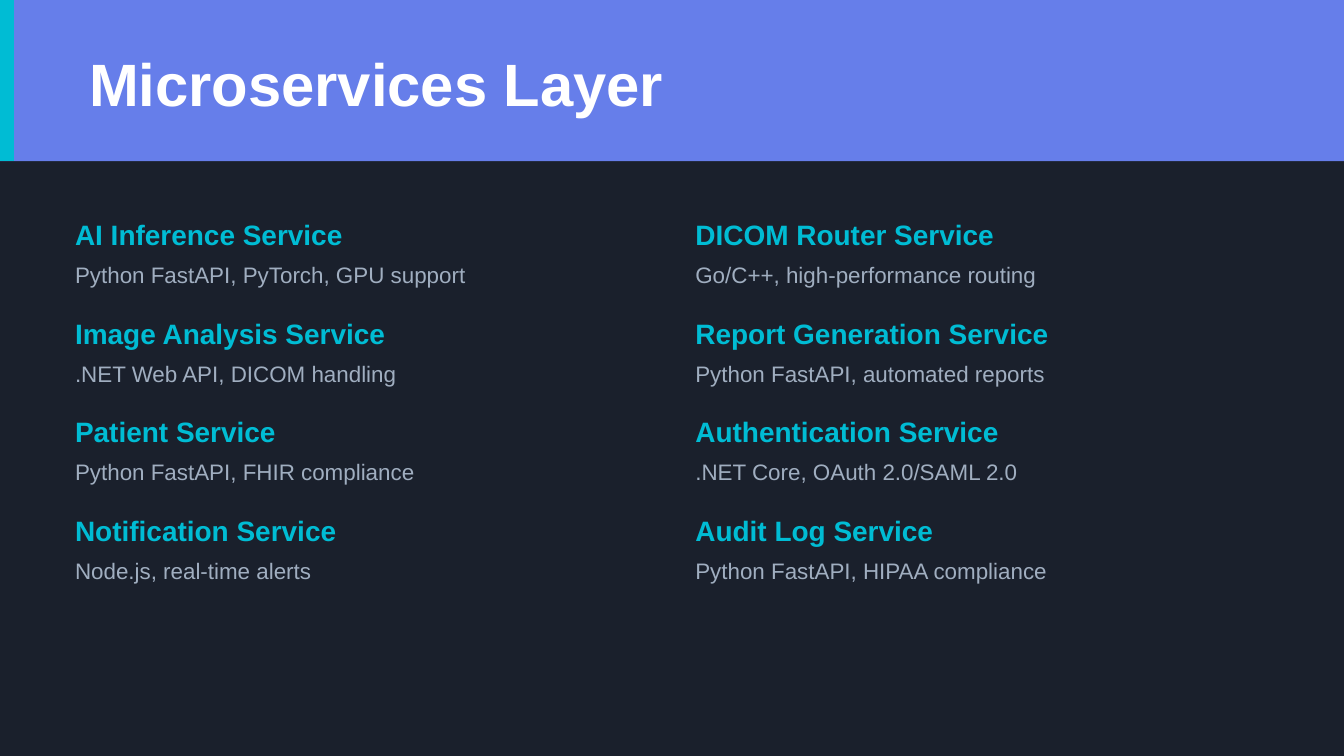
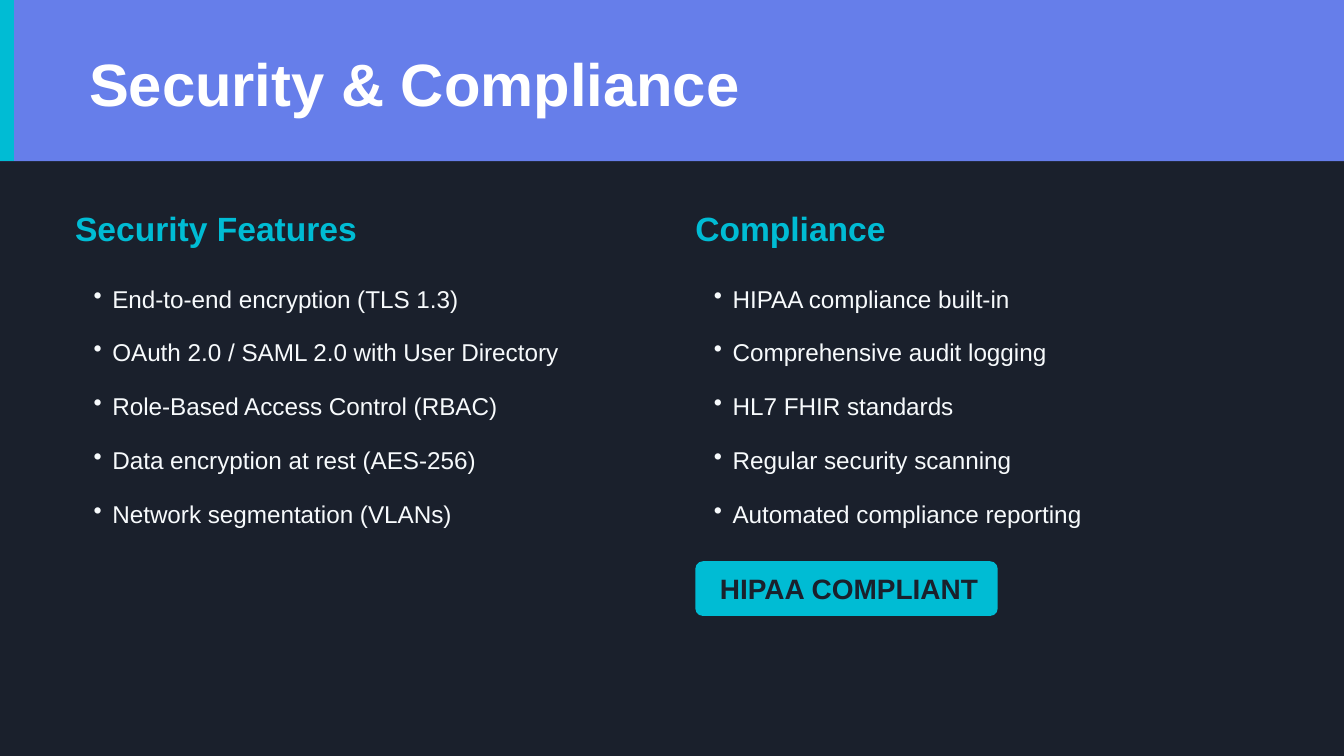
from lxml import etree
from pptx import Presentation
from pptx.dml.color import RGBColor
from pptx.enum.shapes import MSO_CONNECTOR, MSO_SHAPE
from pptx.enum.text import MSO_ANCHOR, MSO_AUTO_SIZE, PP_ALIGN
from pptx.oxml.ns import qn
from pptx.util import Pt

STRAIGHT = MSO_CONNECTOR.STRAIGHT
RECTANGLE, ROUNDED = MSO_SHAPE.RECTANGLE, MSO_SHAPE.ROUNDED_RECTANGLE
TOP, MIDDLE = MSO_ANCHOR.TOP, MSO_ANCHOR.MIDDLE
LEFT = PP_ALIGN.LEFT
NO_AUTOFIT = MSO_AUTO_SIZE.NONE

SERVICES_TITLE = "Microservices Layer"
SERVICE_COLUMNS = [
    [
        ("AI Inference Service", "Python FastAPI, PyTorch, GPU support"),
        ("Image Analysis Service", ".NET Web API, DICOM handling"),
        ("Patient Service", "Python FastAPI, FHIR compliance"),
        ("Notification Service", "Node.js, real-time alerts"),
    ],
    [
        ("DICOM Router Service", "Go/C++, high-performance routing"),
        ("Report Generation Service", "Python FastAPI, automated reports"),
        ("Authentication Service", ".NET Core, OAuth 2.0/SAML 2.0"),
        ("Audit Log Service", "Python FastAPI, HIPAA compliance"),
    ],
]

SECURITY_TITLE = "Security & Compliance"
SECURITY_COLUMNS = [
    ("Security Features", [
        "End-to-end encryption (TLS 1.3)",
        "OAuth 2.0 / SAML 2.0 with User Directory",
        "Role-Based Access Control (RBAC)",
        "Data encryption at rest (AES-256)",
        "Network segmentation (VLANs)",
    ]),
    ("Compliance", [
        "HIPAA compliance built-in",
        "Comprehensive audit logging",
        "HL7 FHIR standards",
        "Regular security scanning",
        "Automated compliance reporting",
    ]),
]
BADGE = "HIPAA COMPLIANT"

COLORS = {
    "background": "1A202C",
    "band": "667EEA",
    "accent": "00BCD4",
    "title": "FFFFFF",
    "body": "F7FAFC",
    "muted": "A0AEC0",
}
FONT = "Arial"
SLIDE_WIDTH, SLIDE_HEIGHT = 720, 405
BAND_HEIGHT = 86.4
ACCENT_WIDTH = 7.5
COLUMN_LEFTS = (40.2, 372.5)
COLUMN_WIDTH = 314
SERVICES_TOP, SERVICE_PITCH, TECH_OFFSET = 116.6, 52.8, 23.3
HEADING_TOP, BULLETS_TOP = 111.6, 146.9
BULLET_INDENT = 10
BADGE_TOP = 300.7


def color(name):
    return RGBColor.from_string(COLORS[name])


def set_font(paragraph, size, color_name, bold=False):
    font = paragraph.font
    font.name, font.size, font.bold = FONT, Pt(size), bold
    font.color.rgb = color(color_name)


def set_frame(frame, left_inset=0, anchor=TOP):
    frame.word_wrap = True
    frame.auto_size = NO_AUTOFIT
    frame.vertical_anchor = anchor
    frame.margin_left = Pt(left_inset)
    frame.margin_top = frame.margin_right = frame.margin_bottom = 0


def add_filled(slide, preset, box, color_name):
    shape = slide.shapes.add_shape(preset, *map(Pt, box))
    shape.shadow.inherit = False
    shape.fill.solid()
    shape.fill.fore_color.rgb = color(color_name)
    shape.line.fill.background()
    return shape


def add_frame(slide, box, left_inset=0):
    frame = slide.shapes.add_textbox(*map(Pt, box)).text_frame
    set_frame(frame, left_inset)
    return frame


def add_line_of_text(slide, box, text, size, color_name, bold=False):
    paragraph = add_frame(slide, box).paragraphs[0]
    paragraph.text = text
    set_font(paragraph, size, color_name, bold)


def add_bullets(slide, box, items):
    frame = add_frame(slide, box, BULLET_INDENT)
    for index, item in enumerate(items):
        paragraph = frame.add_paragraph() if index else frame.paragraphs[0]
        paragraph.text = item
        properties = paragraph._p.get_or_add_pPr()
        properties.set("marL", str(Pt(BULLET_INDENT)))
        properties.set("indent", str(-Pt(BULLET_INDENT)))
        etree.SubElement(properties, qn("a:buChar"), char="•")
        paragraph.line_spacing = Pt(20.8)
        paragraph.space_after = Pt(8)
        set_font(paragraph, 13, "body")


def add_titled_slide(prs, text):
    """Add a dark slide with the title on its band and accent stripe."""
    slide = prs.slides.add_slide(prs.slide_layouts.get_by_name("Title Only"))
    slide.background.fill.solid()
    slide.background.fill.fore_color.rgb = color("background")
    add_filled(slide, RECTANGLE, (0, 0, SLIDE_WIDTH, BAND_HEIGHT), "band")

    stripe_x = Pt(ACCENT_WIDTH / 2)
    stripe = slide.shapes.add_connector(STRAIGHT, stripe_x, 0, stripe_x, Pt(BAND_HEIGHT))
    stripe.line.color.rgb = color("accent")
    stripe.line.width = Pt(ACCENT_WIDTH)
    etree.SubElement(stripe._element.spPr, qn("a:effectLst"))

    title = slide.shapes.title
    title.left, title.top, title.width, title.height = map(Pt, (47.7, 25.2, 645, 36.8))
    set_frame(title.text_frame)
    title.text_frame.text = text
    paragraph = title.text_frame.paragraphs[0]
    paragraph.alignment = LEFT
    set_font(paragraph, 32, "title", bold=True)
    # Bring the title in front of the band.
    title.element.getparent().append(title.element)
    return slide


def add_services_slide(prs):
    slide = add_titled_slide(prs, SERVICES_TITLE)
    for left, services in zip(COLUMN_LEFTS, SERVICE_COLUMNS):
        for row, (name, tech) in enumerate(services):
            top = SERVICES_TOP + row * SERVICE_PITCH
            add_line_of_text(slide, (left, top, COLUMN_WIDTH, 17.3), name, 15, "accent", bold=True)
            add_line_of_text(slide, (left, top + TECH_OFFSET, COLUMN_WIDTH, 13.7), tech, 12, "muted")


def add_security_slide(prs):
    slide = add_titled_slide(prs, SECURITY_TITLE)
    for left, (heading, items) in zip(COLUMN_LEFTS, SECURITY_COLUMNS):
        add_line_of_text(slide, (left, HEADING_TOP, COLUMN_WIDTH, 20.9), heading, 18, "accent", bold=True)
        add_bullets(slide, (left, BULLETS_TOP, 307.5, 136), items)

    badge = add_filled(slide, ROUNDED, (COLUMN_LEFTS[1], BADGE_TOP, 162, 29.3), "accent")
    badge.adjustments[0] = 0.14
    set_frame(badge.text_frame, left_inset=12, anchor=MIDDLE)
    paragraph = badge.text_frame.paragraphs[0]
    paragraph.text = BADGE
    paragraph.alignment = LEFT
    set_font(paragraph, 15, "background", bold=True)


def main():
    prs = Presentation()
    prs.slide_width, prs.slide_height = Pt(SLIDE_WIDTH), Pt(SLIDE_HEIGHT)
    add_services_slide(prs)
    add_security_slide(prs)
    prs.save("out.pptx")


if __name__ == "__main__":
    main()
